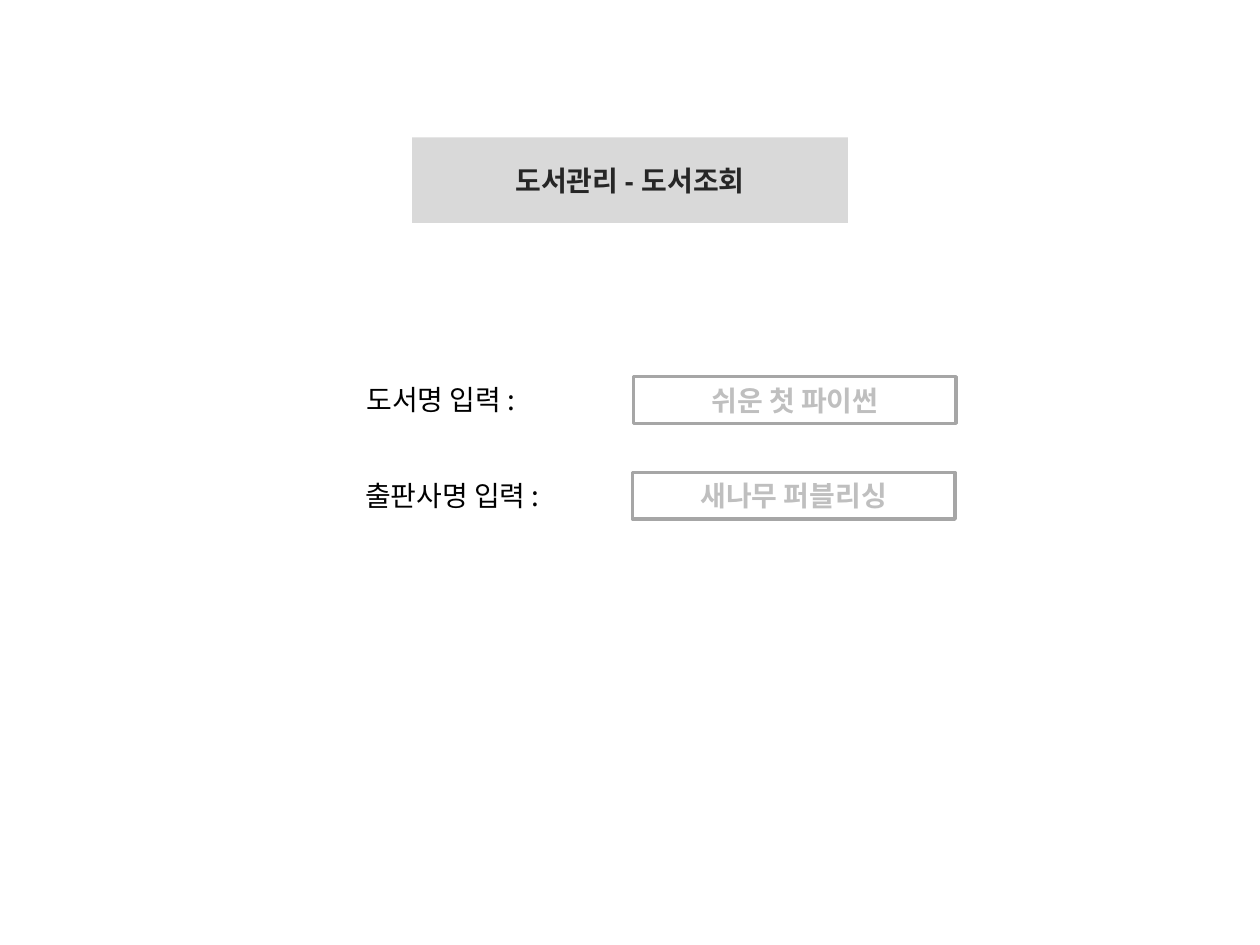
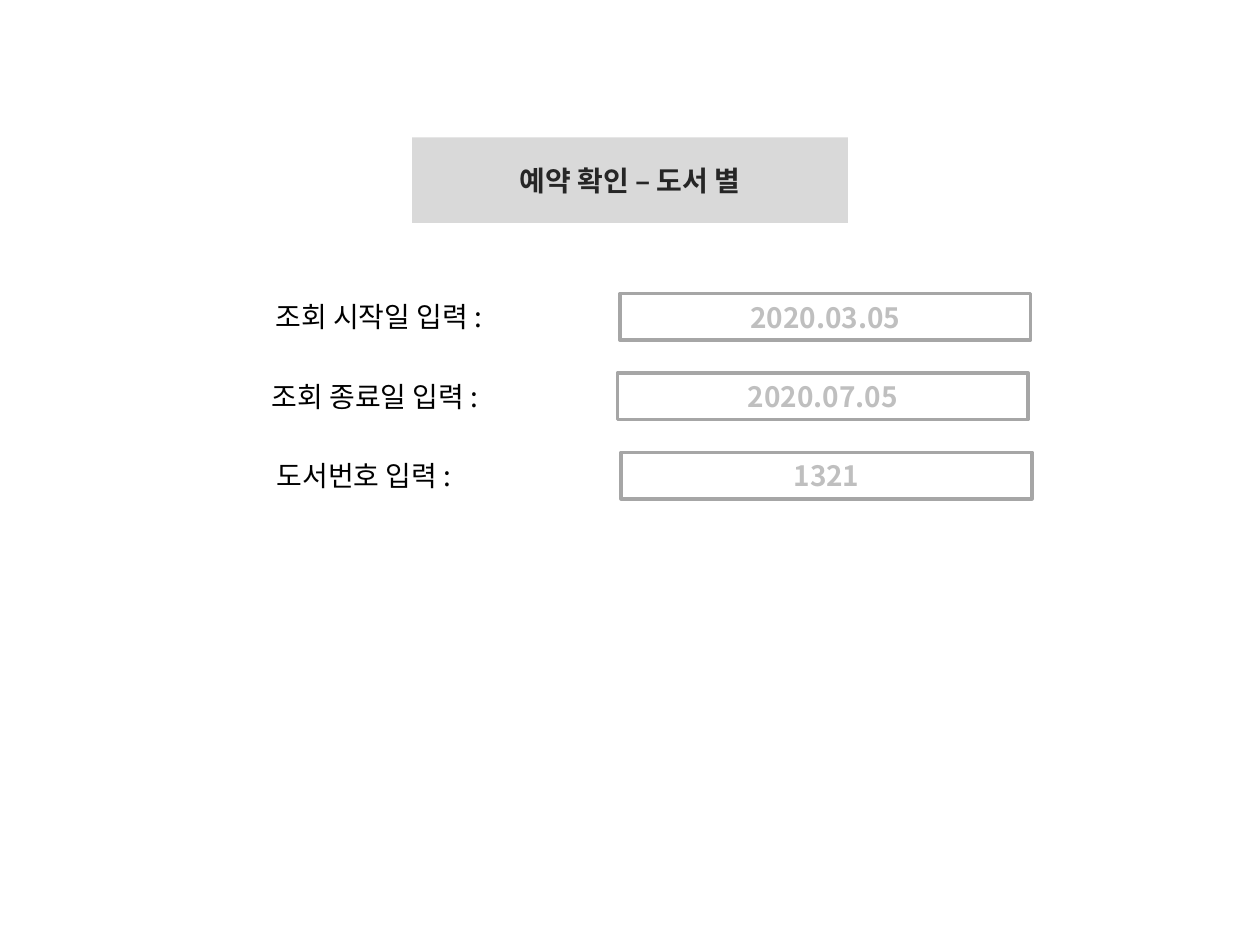
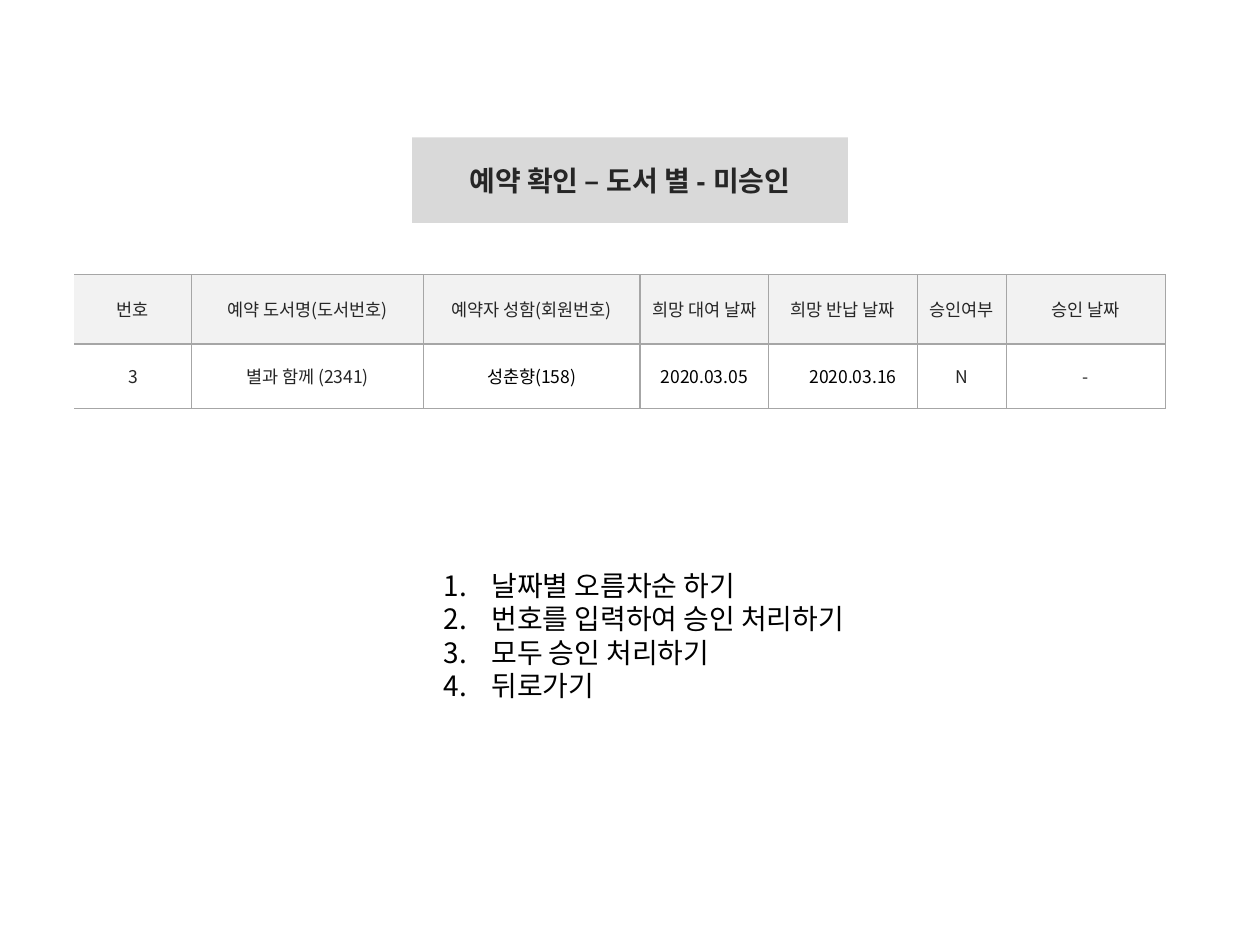
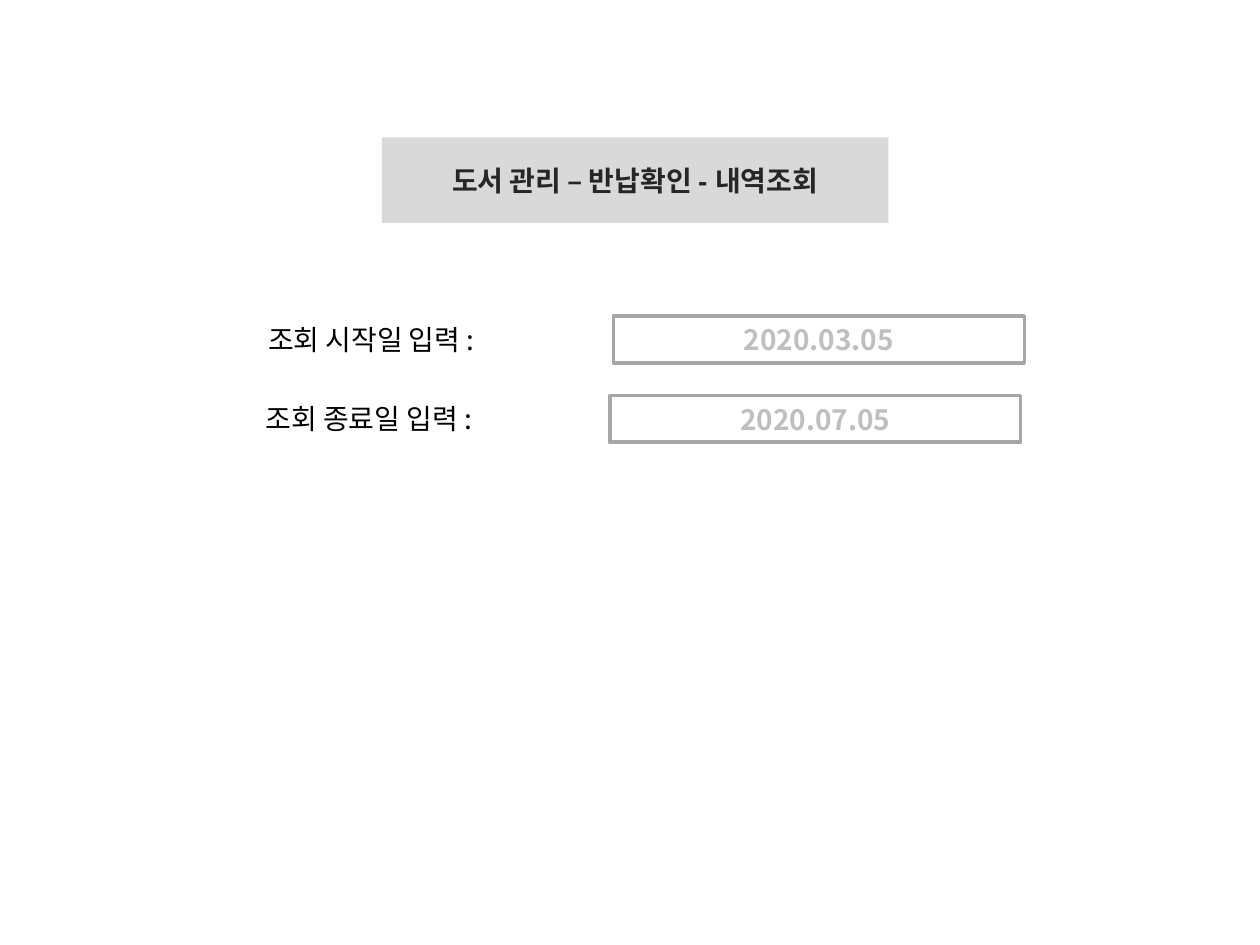
from lxml import etree
from pptx import Presentation
from pptx.dml.color import RGBColor
from pptx.enum.shapes import MSO_SHAPE as Shape
from pptx.enum.text import MSO_ANCHOR as Anchor, MSO_AUTO_SIZE as AutoSize, PP_ALIGN as Align
from pptx.oxml.ns import qn
from pptx.util import Inches, Pt

KOREAN = "Noto Sans CJK KR"
LATIN = "Arial"
BLACK, DARK, HINT = "000000", "262626", "BFBFBF"
WHITE, BAND, HEADER, BORDER = "FFFFFF", "D9D9D9", "F2F2F2", "A6A6A6"
TITLE_AND_BODY, TITLE_ONLY = 1, 5
ROW_HEIGHT = 0.37


def color(hex_text):
    return RGBColor.from_string(hex_text)


def fill(target, hex_text):
    target.fill.solid()
    target.fill.fore_color.rgb = color(hex_text)


def place(shape, left, top, width, height):
    shape.left, shape.top = Inches(left), Inches(top)
    shape.width, shape.height = Inches(width), Inches(height)


def style(para, size, hex_text, name=KOREAN, bold=False, align=Align.LEFT):
    para.alignment = align
    font = para.font
    font.size, font.bold, font.name = Pt(size), bold, name
    font.color.rgb = color(hex_text)
    defaults = para._p.pPr.find(qn("a:defRPr"))
    etree.SubElement(defaults, qn("a:ea"), typeface=KOREAN)


def set_borders(cell, sides):
    """Draw thin lines on the given sides (letters of LRTB) and none elsewhere."""
    properties = cell._tc.get_or_add_tcPr()
    for side in "LRTB":
        line = etree.SubElement(properties, qn(f"a:ln{side}"), w=str(Pt(0.75)))
        if side in sides:
            paint = etree.SubElement(line, qn("a:solidFill"))
            etree.SubElement(paint, qn("a:srgbClr"), val=BORDER)
        else:
            etree.SubElement(line, qn("a:noFill"))


class LibraryDeck:
    def __init__(self):
        self.deck = Presentation()
        self.deck.slide_width, self.deck.slide_height = Inches(10), Inches(7.5)
        self.page = None

    def add_page(self, title, left=3.27, width=3.46, layout=TITLE_ONLY):
        self.page = self.deck.slides.add_slide(self.deck.slide_layouts[layout])
        band = self.page.shapes.title
        place(band, left, 1.09, width, 0.68)
        fill(band, BAND)
        frame = band.text_frame
        frame.text = title
        frame.auto_size = AutoSize.NONE
        frame.vertical_anchor = Anchor.MIDDLE
        style(frame.paragraphs[0], 16, DARK, LATIN, True, Align.CENTER)

    def add_input(self, label, value, left, top, field_left, field_width):
        """Add a label and its outlined field as one group."""
        group = self.page.shapes.add_group_shape()
        box = group.shapes.add_textbox(
            Inches(left), Inches(top), Inches(2.14), Inches(ROW_HEIGHT))
        box.text_frame.word_wrap = True
        box.text_frame.text = label
        style(box.text_frame.paragraphs[0], 16, BLACK)

        field = group.shapes.add_shape(
            Shape.RECTANGLE, Inches(field_left), Inches(top),
            Inches(field_width), Inches(ROW_HEIGHT))
        field.shadow.inherit = False
        fill(field, WHITE)
        field.line.color.rgb = color(BORDER)
        field.line.width = Pt(2)
        field.text_frame.text = value
        field.text_frame.vertical_anchor = Anchor.MIDDLE
        style(field.text_frame.paragraphs[0], 16, HINT, bold=True, align=Align.CENTER)

    def add_table(self, rows, left, top, widths, heights, black_cells, indented_cell):
        frame = self.page.shapes.add_table(
            len(rows), len(widths), Inches(left), Inches(top),
            Inches(sum(widths)), Inches(sum(heights)))
        table = frame.table
        table.first_row = table.horz_banding = False
        for column, width in zip(table.columns, widths):
            column.width = Inches(width)
        for r, (texts, height) in enumerate(zip(rows, heights)):
            table.rows[r].height = Inches(height)
            for c, text in enumerate(texts):
                cell = table.cell(r, c)
                set_borders(cell, "LRTB" if c else "RTB")
                fill(cell, WHITE if r else HEADER)
                cell.margin_right = cell.margin_top = cell.margin_bottom = 0
                cell.margin_left = Inches(0.16 if (r, c) == indented_cell else 0)
                cell.vertical_anchor = Anchor.MIDDLE
                cell.text = text
                style(cell.text_frame.paragraphs[0], 10,
                      BLACK if (r, c) in black_cells else DARK, align=Align.CENTER)

    def add_numbered_list(self, items, left, top, width, height):
        body = self.page.placeholders[1]
        place(body, left, top, width, height)
        frame = body.text_frame
        frame.text = "\n".join(items)
        frame.auto_size = AutoSize.NONE
        for para in frame.paragraphs:
            para.space_before = Pt(0)
            properties = para._p.get_or_add_pPr()
            properties.set("marL", str(Inches(0.38)))
            properties.set("indent", str(Inches(-0.38)))
            etree.SubElement(properties, qn("a:buFont"), typeface="+mj-lt")
            etree.SubElement(properties, qn("a:buAutoNum"), type="arabicPeriod")
            style(para, 16, BLACK)


def main():
    library = LibraryDeck()

    library.add_page("도서관리 - 도서조회")
    library.add_input("도서명 입력 :", "쉬운 첫 파이썬", 2.81, 2.99, 5.03, 2.56)
    library.add_input("출판사명 입력 :", "새나무 퍼블리싱", 2.8, 3.75, 5.02, 2.56)

    start = ("조회 시작일 입력 :", "2020.03.05")
    end = ("조회 종료일 입력 :", "2020.07.05")
    library.add_page("예약 확인 – 도서 별")
    library.add_input(*start, 2.09, 2.33, 4.92, 3.26)
    library.add_input(*end, 2.06, 2.96, 4.9, 3.26)
    library.add_input("도서번호 입력 :", "1321", 2.1, 3.59, 4.93, 3.26)

    library.add_page("예약 확인 – 도서 별 - 미승인", layout=TITLE_AND_BODY)
    reservations = [
        ["번호", "예약 도서명(도서번호)", "예약자 성함(회원번호)", "희망 대여 날짜",
         "희망 반납 날짜", "승인여부", "승인 날짜"],
        ["3", "별과 함께 (2341)", "성춘향(158)", "2020.03.05", "2020.03.16", "N", "-"],
    ]
    library.add_table(
        reservations, 0.59, 2.18,
        widths=[0.93, 1.84, 1.72, 1.02, 1.18, 0.71, 1.26], heights=[0.55, 0.51],
        black_cells={(1, 2), (1, 3), (1, 4)}, indented_cell=(1, 4))
    library.add_numbered_list(
        ["날짜별 오름차순 하기", "번호를 입력하여 승인 처리하기", "모두 승인 처리하기", "뒤로가기"],
        3.42, 4.46, 3.73, 1.18)

    library.add_page("도서 관리 – 반납확인 - 내역조회", left=3.03, width=4.02)
    library.add_input(*start, 2.03, 2.51, 4.87, 3.26)
    library.add_input(*end, 2.01, 3.14, 4.84, 3.26)

    library.deck.save("out.pptx")


if __name__ == "__main__":
    main()
